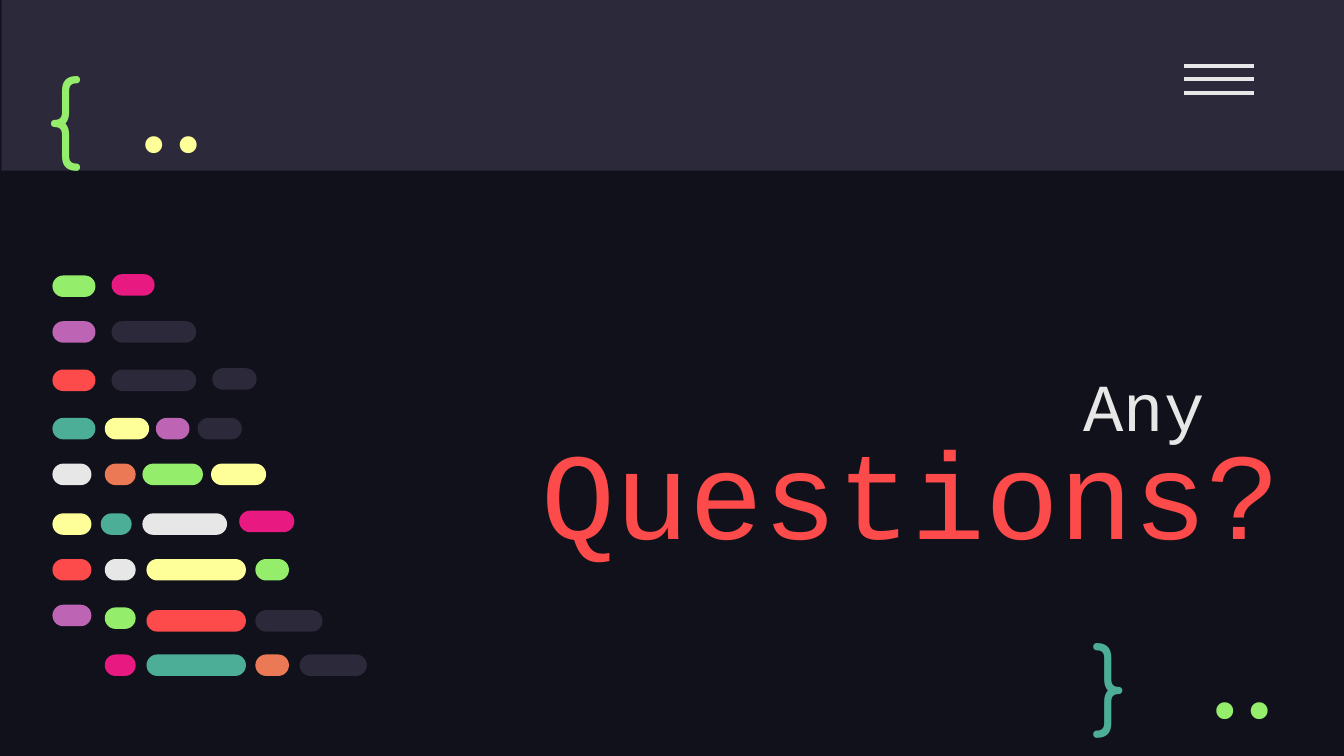
from typing import NamedTuple

from lxml import etree
from pptx import Presentation
from pptx.dml.color import RGBColor
from pptx.enum import shapes, text
from pptx.oxml import ns
from pptx.util import Inches, Pt

NIGHT = RGBColor(0x10, 0x11, 0x1A)
SLATE = RGBColor(0x2C, 0x29, 0x3A)
WHITE = RGBColor(0xE7, 0xE7, 0xE7)
RED = RGBColor(0xFD, 0x4A, 0x4A)
GREEN = RGBColor(0x94, 0xEE, 0x6B)
PINK = RGBColor(0xE8, 0x1A, 0x81)
PURPLE = RGBColor(0xBD, 0x64, 0xB5)
TEAL = RGBColor(0x4C, 0xAE, 0x97)
YELLOW = RGBColor(0xFF, 0xFF, 0x99)
ORANGE = RGBColor(0xEC, 0x79, 0x55)

SLIDE_WIDTH = Inches(10)
SLIDE_HEIGHT = SLIDE_WIDTH * 9 // 16
PILL_HEIGHT = 0.16


class Pill(NamedTuple):
    left: float
    top: float
    width: float
    color: RGBColor


class Label(NamedTuple):
    content: str
    left: float
    top: float
    width: float
    height: float
    font: str
    size: float
    color: RGBColor
    align: text.PP_ALIGN = text.PP_ALIGN.LEFT
    anchor: text.MSO_ANCHOR = text.MSO_ANCHOR.TOP
    line_spacing: float = 1.0


CODE_PILLS = [
    Pill(0.39, 2.05, 0.32, GREEN), Pill(0.83, 2.04, 0.32, PINK),
    Pill(0.39, 2.39, 0.32, PURPLE), Pill(0.83, 2.39, 0.63, SLATE),
    Pill(0.39, 2.75, 0.32, RED), Pill(0.83, 2.75, 0.63, SLATE),
    Pill(1.58, 2.74, 0.33, SLATE),
    Pill(0.39, 3.11, 0.32, TEAL), Pill(0.78, 3.11, 0.33, YELLOW),
    Pill(1.16, 3.11, 0.25, PURPLE), Pill(1.47, 3.11, 0.33, SLATE),
    Pill(0.39, 3.45, 0.29, WHITE), Pill(0.78, 3.45, 0.23, ORANGE),
    Pill(1.06, 3.45, 0.45, GREEN), Pill(1.57, 3.45, 0.41, YELLOW),
    Pill(0.39, 3.82, 0.29, YELLOW), Pill(0.75, 3.82, 0.23, TEAL),
    Pill(1.06, 3.82, 0.63, WHITE), Pill(1.78, 3.80, 0.41, PINK),
    Pill(0.39, 4.16, 0.29, RED), Pill(0.78, 4.16, 0.23, WHITE),
    Pill(1.09, 4.16, 0.74, YELLOW), Pill(1.90, 4.16, 0.25, GREEN),
    Pill(0.39, 4.50, 0.29, PURPLE), Pill(0.78, 4.52, 0.23, GREEN),
    Pill(1.09, 4.54, 0.74, RED), Pill(1.90, 4.54, 0.50, SLATE),
    Pill(0.78, 4.87, 0.23, PINK), Pill(1.09, 4.87, 0.74, TEAL),
    Pill(1.90, 4.87, 0.25, ORANGE), Pill(2.23, 4.87, 0.50, SLATE),
]

RIGHT = text.PP_ALIGN.RIGHT
MIDDLE = text.MSO_ANCHOR.MIDDLE
LABELS = [
    Label("Any", 2.78, 1.37, 6.28, 2.04, "Courier New", 36, WHITE, RIGHT,
          text.MSO_ANCHOR.BOTTOM, 1.15),
    Label("Questions?", 3.35, 3, 6.28, 0.72, "Courier New", 66, RED, RIGHT),
    Label("{", 0.25, 0.32, 0.77, 0.95, "Comfortaa", 50, GREEN),
    Label("}", 8.03, 4.54, 0.57, 0.83, "Comfortaa", 50, TEAL),
    Label("..", 8.7, 4.77, 1.07, 0.6, "Fira Code", 50, GREEN, RIGHT, MIDDLE),
    Label("..", 0.73, 0.56, 1.07, 0.6, "Fira Code", 50, YELLOW, RIGHT, MIDDLE),
]


def add_filled_shape(parent, kind: shapes.MSO_SHAPE, left: float, top: float,
                     width: float, height: float, color: RGBColor):
    shape = parent.add_shape(kind, Inches(left), Inches(top),
                             Inches(width), Inches(height))
    shape.shadow.inherit = False
    shape.fill.solid()
    shape.fill.fore_color.rgb = color
    shape.line.fill.background()
    return shape


def add_menu_icon(slide) -> None:
    group = slide.shapes.add_group_shape()
    for row in range(3):
        top = Inches(0.49 + 0.1 * row)
        line = group.shapes.add_connector(
            shapes.MSO_CONNECTOR.STRAIGHT, Inches(8.81), top, Inches(9.33), top)
        line.line.color.rgb = WHITE
        line.line.width = Pt(2.25)
        etree.SubElement(line._element.spPr, ns.qn("a:effectLst"))


def add_code_pills(slide, pills: list[Pill]) -> None:
    group = slide.shapes.add_group_shape()
    for pill in pills:
        shape = add_filled_shape(group.shapes, shapes.MSO_SHAPE.ROUNDED_RECTANGLE,
                                 pill.left, pill.top, pill.width, PILL_HEIGHT, pill.color)
        shape.adjustments[0] = 0.5


def add_label(slide, label: Label) -> None:
    box = slide.shapes.add_textbox(Inches(label.left), Inches(label.top),
                                   Inches(label.width), Inches(label.height))
    frame = box.text_frame
    frame.word_wrap = True
    frame.vertical_anchor = label.anchor
    frame.margin_left = frame.margin_right = Inches(0.1)
    frame.margin_top = frame.margin_bottom = Inches(0.1)
    paragraph = frame.paragraphs[0]
    paragraph.alignment = label.align
    paragraph.line_spacing = label.line_spacing
    run = paragraph.add_run()
    run.text = label.content
    run.font.name = label.font
    run.font.size = Pt(label.size)
    run.font.color.rgb = label.color


def main() -> None:
    presentation = Presentation()
    presentation.slide_width = SLIDE_WIDTH
    presentation.slide_height = SLIDE_HEIGHT
    slide = presentation.slides.add_slide(presentation.slide_layouts[6])
    slide.background.fill.solid()
    slide.background.fill.fore_color.rgb = NIGHT
    add_filled_shape(slide.shapes, shapes.MSO_SHAPE.RECTANGLE, 0.01, 0, 10, 1.27, SLATE)
    add_menu_icon(slide)
    add_code_pills(slide, CODE_PILLS)
    for label in LABELS:
        add_label(slide, label)
    presentation.save("out.pptx")


if __name__ == "__main__":
    main()
